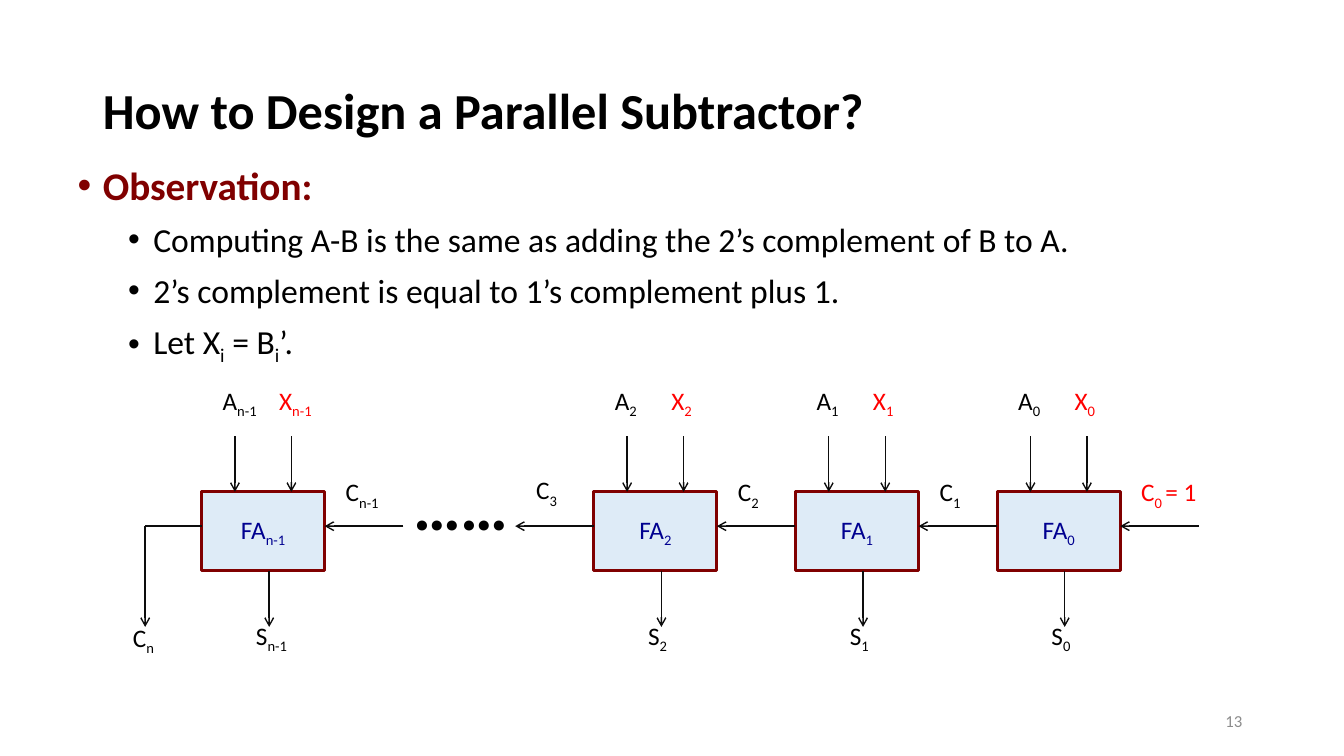
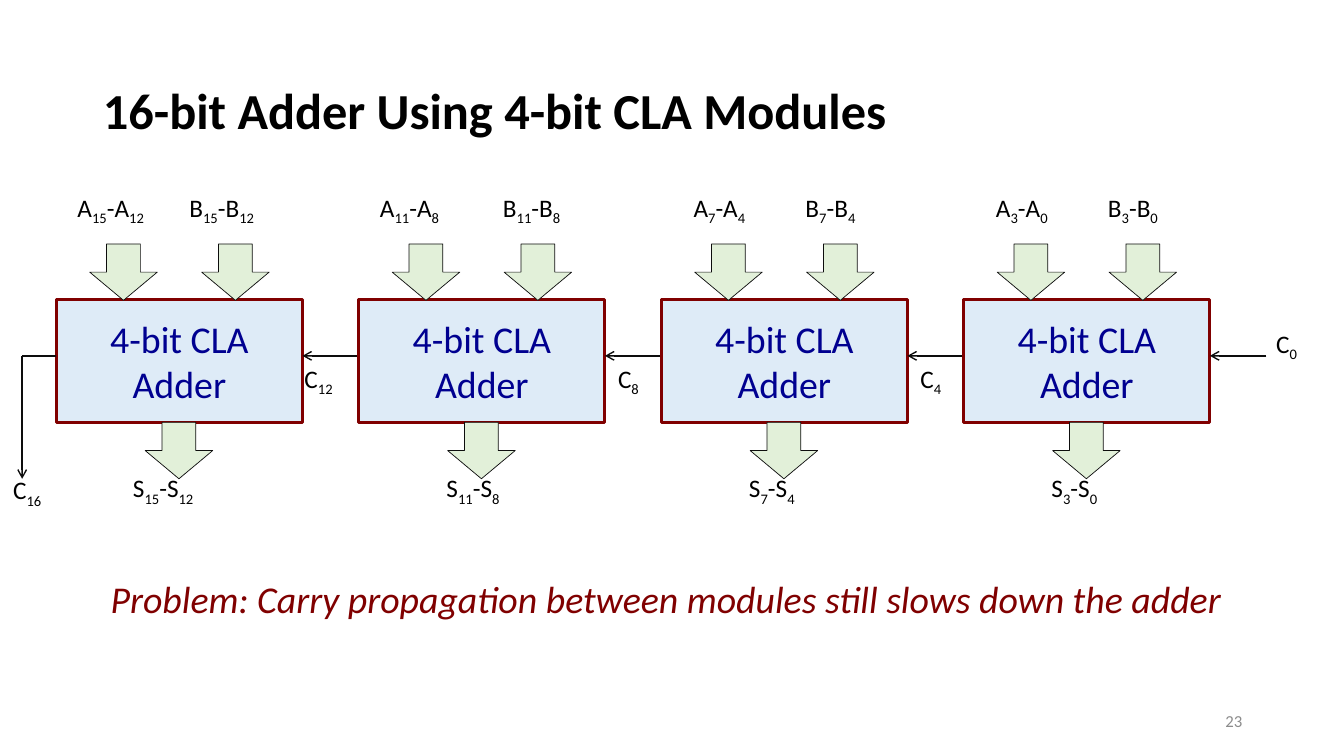
from lxml.etree import SubElement
from pptx import Presentation
from pptx.dml.color import RGBColor
from pptx.enum.shapes import MSO_CONNECTOR, MSO_SHAPE
from pptx.enum.text import MSO_ANCHOR, MSO_AUTO_SIZE, PP_ALIGN
from pptx.oxml.ns import qn
from pptx.util import Pt

# Shared scale, font and colours
PX = 9144  # 100 px to the inch
FONT = "Calibri"
BLACK, RED, MAROON, NAVY = "000000", "FF0000", "800000", "000090"
GREY, INK, PALE_BLUE, PALE_GREEN = "8C8C8C", "0D0D0D", "DEEBF7", "E2F0D9"
color_of = RGBColor.from_string


def add_text(slide, text, box, size=18, color=BLACK, bold=False, italic=False,
             align=PP_ALIGN.LEFT, anchor=MSO_ANCHOR.TOP, margins=(10, 5),
             placeholder=None, preset=None, fill=None, outline=None, weight=1):
    """Write text in a text box, placeholder or preset shape; | toggles subscript."""
    left, top, width, height = [value * PX for value in box]
    if placeholder is not None:
        shape = placeholder
        shape.left, shape.top, shape.width, shape.height = left, top, width, height
    elif preset is not None:
        shape = slide.shapes.add_shape(preset, left, top, width, height)
        shape.shadow.inherit = False
        shape.fill.solid()
        shape.fill.fore_color.rgb = color_of(fill)
        shape.line.color.rgb = color_of(outline)
        shape.line.width = Pt(weight)
    else:
        shape = slide.shapes.add_textbox(left, top, width, height)
    frame = shape.text_frame
    frame.word_wrap = True
    frame.auto_size = MSO_AUTO_SIZE.NONE
    frame.vertical_anchor = anchor
    frame.margin_left = frame.margin_right = margins[0] * PX
    frame.margin_top = frame.margin_bottom = margins[1] * PX
    for number, line in enumerate(text.split("\n")):
        paragraph = frame.add_paragraph() if number else frame.paragraphs[0]
        paragraph.alignment = align
        for position, part in enumerate(line.split("|")):
            if not part:
                continue
            run = paragraph.add_run()
            run.text = part
            run.font.name, run.font.size = FONT, Pt(size)
            run.font.bold, run.font.italic = bold, italic
            run.font.color.rgb = color_of(color)
            if position % 2:
                run.font._element.set("baseline", "-25000")
    return shape


def add_line(slide, start, end, arrow=True):
    """Draw a thin straight line, with an open arrowhead at its end if wanted."""
    points = [value * PX for value in (*start, *end)]
    connector = slide.shapes.add_connector(MSO_CONNECTOR.STRAIGHT, *points)
    connector.line.color.rgb = color_of(INK)
    connector.line.width = Pt(1)
    if arrow:
        SubElement(connector.line._get_or_add_ln(), qn("a:tailEnd"), type="arrow")
    SubElement(connector._element.spPr, qn("a:effectLst"))


presentation = Presentation()
presentation.slide_width, presentation.slide_height = 1333 * PX, 750 * PX

# Both slides: title and page number
slides = []
for layout, title, page in [
    (1, "How to Design a Parallel Subtractor?", "13"),
    (5, "16-bit Adder Using 4-bit CLA Modules", "23"),
]:
    slide = presentation.slides.add_slide(presentation.slide_layouts[layout])
    heading = add_text(slide, title, (92, 40, 1150, 145), size=36, bold=True,
                       anchor=MSO_ANCHOR.MIDDLE, placeholder=slide.shapes.title)
    heading.text_frame.paragraphs[0].line_spacing = 0.9
    add_text(slide, page, (942, 695, 300, 40), size=12, color=GREY,
             align=PP_ALIGN.RIGHT, anchor=MSO_ANCHOR.MIDDLE)
    slides.append(slide)
subtractor, adder = slides

# Subtractor: bullet list
body = add_text(
    subtractor,
    "Observation:\n"
    "Computing A-B is the same as adding the 2’s complement of B to A.\n"
    "2’s complement is equal to 1’s complement plus 1.\n"
    "Let X|i| = B|i|’.",
    (67, 153, 1200, 489), size=24, placeholder=subtractor.placeholders[1])
for number, paragraph in enumerate(body.text_frame.paragraphs):
    paragraph.level = 1 if number else 0
    paragraph.line_spacing = 1.05
    paragraph.space_before, paragraph.space_after = Pt(0), Pt(6)
    properties = paragraph._p.get_or_add_pPr()
    properties.set("marL", str((75 if number else 25) * PX))
    properties.set("indent", str(-25 * PX))
    SubElement(properties, qn("a:buFont"), typeface="Arial")
    SubElement(properties, qn("a:buChar"), char="•")
observation = body.text_frame.paragraphs[0].runs[0].font
observation.size, observation.bold = Pt(28), True
observation.color.rgb = color_of(MAROON)

# Subtractor: full adders with their inputs, sum and carry in
for index, left in [("0", 989), ("1", 789), ("2", 589), ("n-1", 200)]:
    add_text(subtractor, f"FA|{index}", (left, 488, 122, 78), color=NAVY,
             align=PP_ALIGN.CENTER, anchor=MSO_ANCHOR.MIDDLE,
             preset=MSO_SHAPE.RECTANGLE, fill=PALE_BLUE, outline=MAROON, weight=2)
    for offset, top, bottom in [(33, 433, 488), (89, 433, 488), (67, 566, 622)]:
        add_line(subtractor, (left + offset, top), (left + offset, bottom))
    add_line(subtractor, (left + 200, 522), (left + 122, 522))
    first = index == "0"
    for text, offset, top, color in [
        (f"C|{index} |= 1" if first else f"C|{index}", 133, 468, RED if first else BLACK),
        (f"S|{index}", 44, 610, BLACK),
        (f"X|{index}", 67, 377, RED),
        (f"A|{index}", 11, 377, BLACK),
    ]:
        add_text(subtractor, text, (left + offset, top, 111 if "=" in text else 78, 40),
                 color=color)

# Subtractor: omitted stages and carry out
add_line(subtractor, (589, 522), (511, 522))
add_text(subtractor, "C|3", (522, 466, 67, 40))
add_text(subtractor, "……", (400, 455, 133, 94), size=48, bold=True)
add_line(subtractor, (200, 522), (144, 522), arrow=False)
add_line(subtractor, (144, 522), (144, 622))
add_text(subtractor, "C|n", (122, 612, 78, 40))

# Adder: four modules, each with label offsets for A, B and S
for number, (high, low, a_offset, b_offset, s_offset) in enumerate([
    (15, 12, 11, 122, 66),
    (11, 8, 11, 133, 77),
    (7, 4, 22, 133, 77),
    (3, 0, 22, 133, 77),
]):
    left = 56 + 300 * number
    add_text(adder, "4-bit CLA Adder", (left, 297, 244, 122), size=27, color=NAVY,
             align=PP_ALIGN.CENTER, anchor=MSO_ANCHOR.MIDDLE,
             preset=MSO_SHAPE.RECTANGLE, fill=PALE_BLUE, outline=MAROON, weight=2)
    for offset, top in [(33, 242), (144, 242), (88, 419)]:
        add_text(adder, "", (left + offset, top, 67, 56), preset=MSO_SHAPE.DOWN_ARROW,
                 fill=PALE_GREEN, outline=INK, weight=0.5)
    for name, offset, top in [("A", a_offset, 186), ("B", b_offset, 186),
                              ("S", s_offset, 464)]:
        add_text(adder, f"{name}|{high}|-{name}|{low}", (left + offset, top, 122, 40))
    add_line(adder, (left + 300, 353), (left + 244, 353))

# Adder: carries and closing remark
add_text(adder, "C|0", (1256, 321, 100, 40))
for text, left, top in [("C|4", 900, 353), ("C|8", 600, 353), ("C|12", 289, 353),
                        ("C|16", 0, 464)]:
    add_text(adder, text, (left, top, 100, 44), margins=(13, 7))
add_line(adder, (56, 353), (22, 353), arrow=False)
add_line(adder, (22, 353), (22, 475))
add_text(adder, "Problem: Carry propagation between modules still slows down the adder",
         (44, 564, 1233, 58), size=27, color=MAROON, italic=True,
         align=PP_ALIGN.CENTER, margins=(13, 7))

presentation.save("out.pptx")
